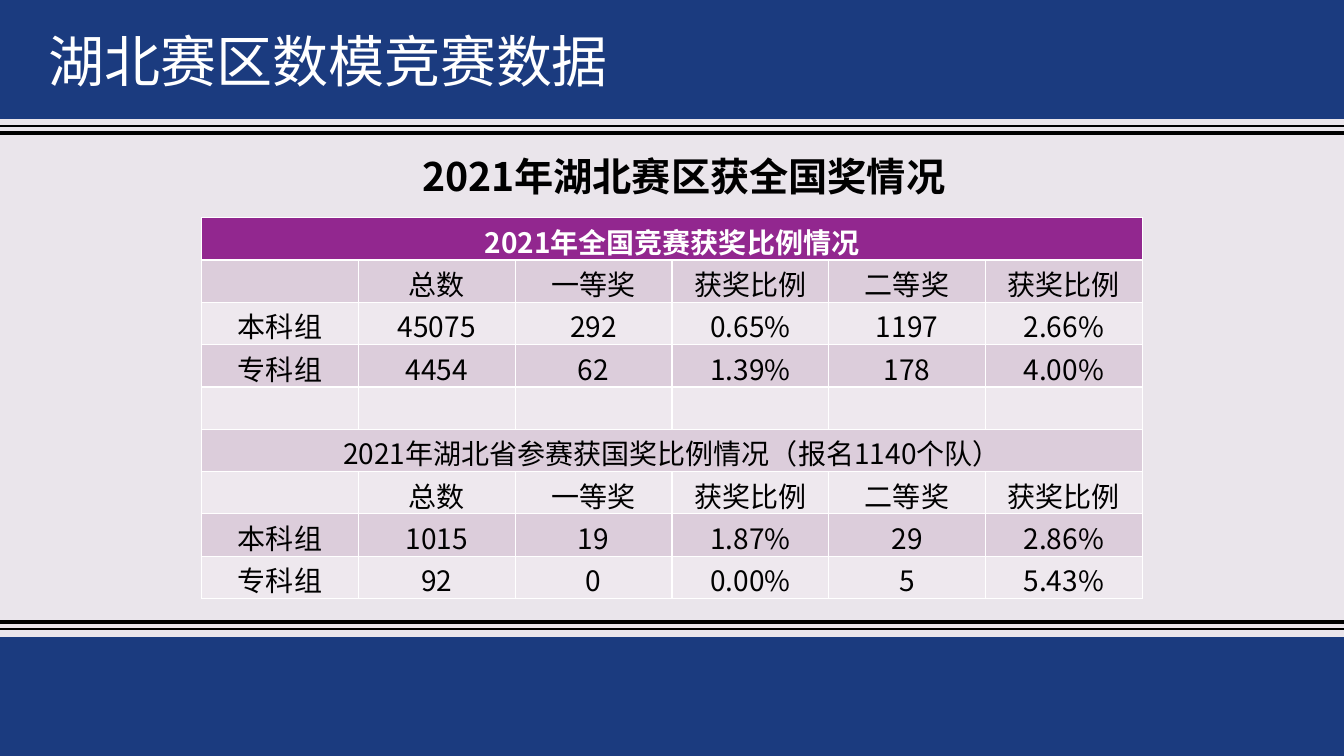
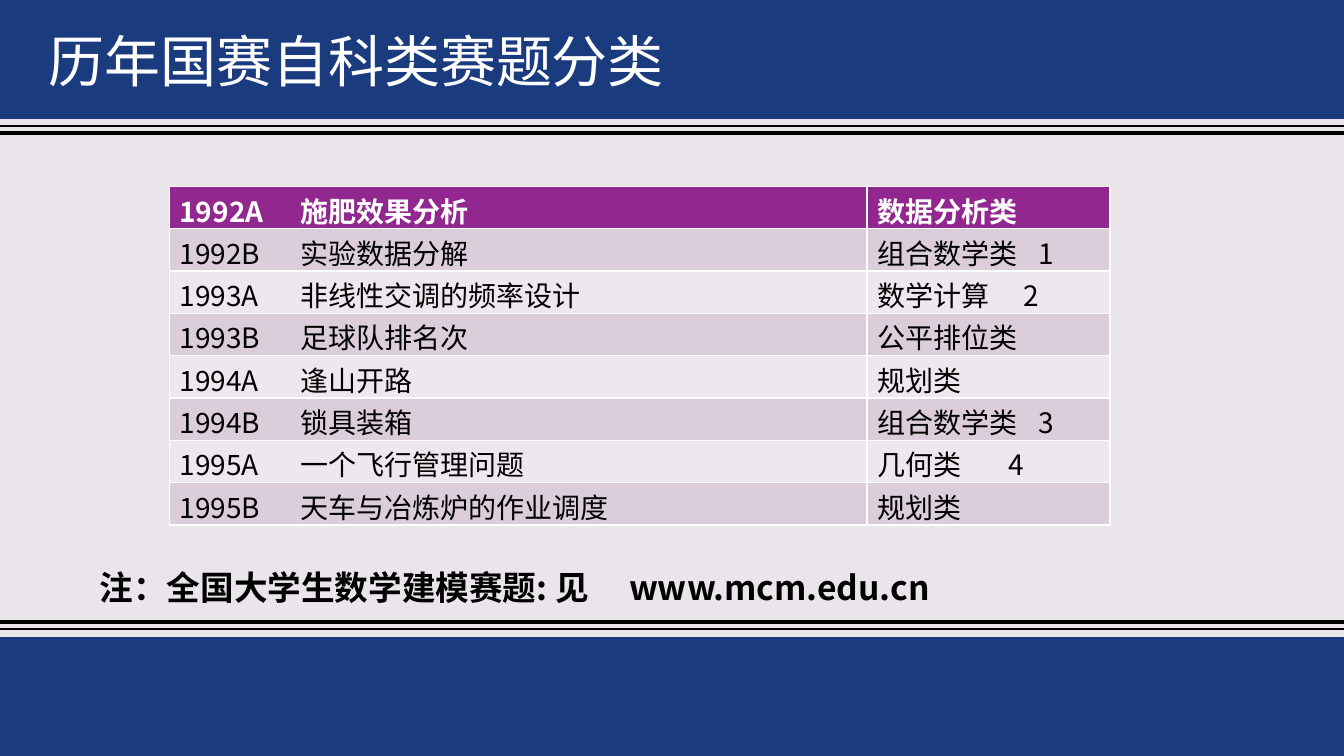
from lxml import etree
from pptx import Presentation
from pptx.dml.color import RGBColor
from pptx.enum.shapes import MSO_CONNECTOR, MSO_SHAPE
from pptx.enum.text import MSO_ANCHOR, MSO_AUTO_SIZE, PP_ALIGN
from pptx.oxml.ns import qn
from pptx.util import Inches, Pt

RECTANGLE = MSO_SHAPE.RECTANGLE
STRAIGHT = MSO_CONNECTOR.STRAIGHT
MIDDLE, BOTTOM = MSO_ANCHOR.MIDDLE, MSO_ANCHOR.BOTTOM
LEFT, CENTER = PP_ALIGN.LEFT, PP_ALIGN.CENTER
NO_AUTOFIT = MSO_AUTO_SIZE.NONE

FONT = "Noto Sans CJK SC"
BACKGROUND, NAVY, PURPLE = "EAE5EB", "1B3B7F", "92278F"
BLACK, WHITE = "000000", "FFFFFF"
ROW_FILLS = ["EEE8EE", "DCCDDB"]
SLIDE_WIDTH, SLIDE_HEIGHT = 13.33, 7.5
BAND_HEIGHT = 1.18
ROW_HEIGHT = 0.42


def color(hex_string):
    return RGBColor.from_string(hex_string)


def write(text_frame, text, size=20, ink=BLACK, bold=False, align=LEFT,
          anchor=MIDDLE, tab=None):
    """Fill a frame with one formatted paragraph; tab is a stop in inches."""
    text_frame.word_wrap = True
    text_frame.vertical_anchor = anchor
    paragraph = text_frame.paragraphs[0]
    paragraph.alignment = align
    if tab:
        properties = paragraph._p.get_or_add_pPr()
        tab_list = etree.SubElement(properties, qn("a:tabLst"))
        etree.SubElement(tab_list, qn("a:tab"), pos=str(Inches(tab)), algn="l")
    run = paragraph.add_run()
    run.text = text
    run.font.size = Pt(size)
    run.font.bold = bold
    run.font.color.rgb = color(ink)
    run.font.name = FONT
    etree.SubElement(run._r.get_or_add_rPr(), qn("a:ea"), typeface=FONT)


presentation = Presentation()
presentation.slide_width = Inches(SLIDE_WIDTH)
presentation.slide_height = Inches(SLIDE_HEIGHT)

# Shared layout: background, title position, bands and rules
layout = presentation.slide_layouts[5]
layout.background.fill.solid()
layout.background.fill.fore_color.rgb = color(BACKGROUND)
title_placeholder, *footer_placeholders = layout.placeholders
for placeholder in footer_placeholders:
    layout.shapes.element.remove(placeholder.element)
title_placeholder.left, title_placeholder.top = Inches(0.38), Inches(0.21)
title_placeholder.width, title_placeholder.height = Inches(8.47), Inches(0.77)

awards_slide = presentation.slides.add_slide(layout)
topics_slide = presentation.slides.add_slide(layout)

decorations = []
for y, weight in [(6.17, 3), (6.24, 1), (1.32, 3), (1.25, 1)]:
    rule = awards_slide.shapes.add_connector(
        STRAIGHT, 0, Inches(y), Inches(SLIDE_WIDTH), Inches(y))
    rule.line.color.rgb = color(BLACK)
    rule.line.width = Pt(weight)
    etree.SubElement(rule.element.spPr, qn("a:effectLst"))
    decorations.append(rule)
for top in (SLIDE_HEIGHT - BAND_HEIGHT, 0):
    band = awards_slide.shapes.add_shape(
        RECTANGLE, 0, Inches(top), Inches(SLIDE_WIDTH), Inches(BAND_HEIGHT))
    band.shadow.inherit = False
    band.fill.solid()
    band.fill.fore_color.rgb = color(NAVY)
    band.line.fill.background()
    decorations.append(band)
for shape in decorations:
    layout.shapes.element.append(shape.element)

# Titles
for slide, title in [(awards_slide, "湖北赛区数模竞赛数据"),
                     (topics_slide, "历年国赛自科类赛题分类")]:
    write(slide.shapes.title.text_frame, title, size=40, ink=WHITE)
    slide.shapes.title.text_frame.auto_size = NO_AUTOFIT

# Text above and below the tables
for slide, box, text, text_format in [
    (awards_slide, (2.92, 1.46, 7.72, 0.57), "2021年湖北赛区获全国奖情况",
     {"size": 28, "align": CENTER}),
    (topics_slide, (0.89, 5.57, 11.79, 0.5),
     "注：全国大学生数学建模赛题: 见\twww.mcm.edu.cn",
     {"size": 24, "tab": 5.25}),
]:
    text_box = slide.shapes.add_textbox(*map(Inches, box))
    write(text_box.text_frame, text, bold=True, **text_format)

# Tables: a row with one entry spans the full width
award_headings = ["", "总数", "一等奖", "获奖比例", "二等奖", "获奖比例"]
award_rows = [
    ["2021年全国竞赛获奖比例情况"],
    award_headings,
    ["本科组", "45075", "292", "0.65%", "1197", "2.66%"],
    ["专科组", "4454", "62", "1.39%", "178", "4.00%"],
    [""] * 6,
    ["2021年湖北省参赛获国奖比例情况（报名1140个队）"],
    award_headings,
    ["本科组", "1015", "19", "1.87%", "29", "2.86%"],
    ["专科组", "92", "0", "0.00%", "5", "5.43%"],
]
topic_rows = [
    ["1992A\t施肥效果分析", "数据分析类"],
    ["1992B\t实验数据分解", "组合数学类\t1"],
    ["1993A\t非线性交调的频率设计", "数学计算\t2"],
    ["1993B\t足球队排名次", "公平排位类"],
    ["1994A\t逢山开路", "规划类"],
    ["1994B\t锁具装箱", "组合数学类\t3"],
    ["1995A\t一个飞行管理问题", "几何类\t4"],
    ["1995B\t天车与冶炼炉的作业调度", "规划类"],
]
# Tab stops by the text that stands before the tab
category_tabs = {"组合数学类": 1.6, "数学计算": 1.45, "几何类": 1.3}

for slide, left, top, widths, rows, align in [
    (awards_slide, 2, 2.16, [1.555] * 6, award_rows, CENTER),
    (topics_slide, 1.68, 1.85, [6.92, 2.41], topic_rows, LEFT),
]:
    table = slide.shapes.add_table(
        len(rows), len(widths), Inches(left), Inches(top),
        Inches(sum(widths)), Inches(ROW_HEIGHT * len(rows))).table
    for column, width in zip(table.columns, widths):
        column.width = Inches(width)
    for row_index, texts in enumerate(rows):
        table.rows[row_index].height = Inches(ROW_HEIGHT)
        is_header = row_index == 0
        for cell in table.rows[row_index].cells:
            cell.margin_top, cell.margin_bottom = Inches(0.03), 0
            cell.fill.solid()
            cell.fill.fore_color.rgb = color(
                PURPLE if is_header else ROW_FILLS[row_index % 2])
        if len(texts) == 1:
            table.cell(row_index, 0).merge(
                table.cell(row_index, len(widths) - 1))
        for column_index, text in enumerate(texts):
            label, separator, _ = text.partition("\t")
            write(table.cell(row_index, column_index).text_frame, text,
                  ink=WHITE if is_header else BLACK, bold=is_header,
                  align=align, anchor=BOTTOM,
                  tab=category_tabs.get(label, 1.2) if separator else None)

presentation.save("out.pptx")
